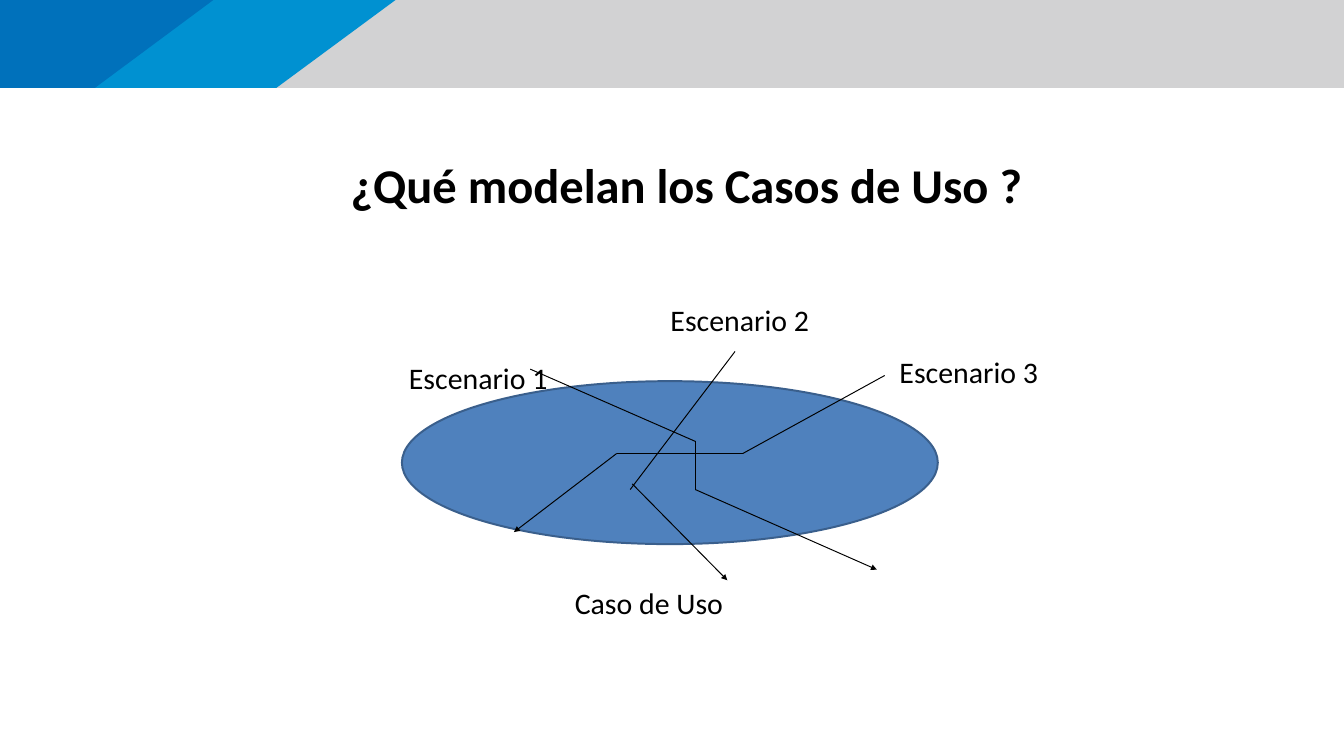
from dataclasses import dataclass
from itertools import pairwise

from lxml.etree import SubElement as Sub
from pptx import Presentation
from pptx.dml.color import RGBColor as RGB
from pptx.enum.shapes import MSO_CONNECTOR as Link, MSO_SHAPE as Form
from pptx.enum.text import MSO_ANCHOR as Anchor, MSO_AUTO_SIZE as Fit, PP_ALIGN as Align
from pptx.oxml.ns import qn
from pptx.util import Emu, Pt

PX = 9144
WIDE, HIGH = 1896, 1067


@dataclass(frozen=True)
class Theme:
    """Colours and type sizes of the slide."""
    font: str = "Calibri"
    ink: RGB = RGB(0, 0, 0)
    grey: RGB = RGB(0xD2, 0xD2, 0xD3)
    sky: RGB = RGB(0x00, 0x91, 0xD1)
    blue: RGB = RGB(0x00, 0x71, 0xBB)
    oval: RGB = RGB(0x4F, 0x81, 0xBD)
    edge: RGB = RGB(0x3A, 0x5F, 0x8C)
    title: float = 49.3
    label: float = 30.3


LOOK = Theme()


def px(*nums):
    """Turn px lengths into EMU."""
    return [Emu(n * PX) for n in nums]


def write(frame, text, size, bold=False):
    """Add one styled run to the first paragraph of a frame."""
    run = frame.paragraphs[0].add_run()
    run.text = text
    font = run.font
    font.name, font.size, font.bold = LOOK.font, Pt(size), bold
    font.color.rgb = LOOK.ink


def paint(shape, fill):
    """Give a shape a flat fill without line or shadow."""
    shape.shadow.inherit = False
    shape.fill.solid()
    shape.fill.fore_color.rgb = fill
    shape.line.fill.background()


def header(slide, x, y, w, h):
    """Draw the grey band and its two slanted blue panels."""
    paint(slide.shapes.add_shape(Form.RECTANGLE, *px(x, y, w, h)), LOOK.grey)
    for top, foot, fill in ((558, 390, LOOK.sky), (301, 134, LOOK.blue)):
        pen = slide.shapes.build_freeform(x, y, scale=PX)
        pen.add_line_segments([(x + top, y), (x + foot, y + h), (x, y + h)])
        paint(pen.convert_to_shape(), fill)


def heading(slide, x, y, w, h):
    """Place and fill the title placeholder."""
    box = slide.shapes.title
    box.left, box.top, box.width, box.height = px(x, y, w, h)
    frame = box.text_frame
    frame.auto_size, frame.word_wrap = Fit.NONE, True
    frame.vertical_anchor = Anchor.MIDDLE
    frame.margin_left, frame.margin_right = px(19, 19)
    frame.margin_top, frame.margin_bottom = px(9, 9)
    frame.paragraphs[0].alignment = Align.CENTER
    write(frame, "¿Qué modelan los Casos de Uso ?", LOOK.title, True)


def route(group, x, y, stops, arrow):
    """Link the stops in turn, with an optional arrow at the last."""
    for start, end in pairwise(stops):
        ends = px(x + start[0], y + start[1], x + end[0], y + end[1])
        link = group.shapes.add_connector(Link.STRAIGHT, *ends)
        link.line.color.rgb, link.line.width = LOOK.ink, Pt(1)
        if arrow and end == stops[-1]:
            Sub(link.line._get_or_add_ln(), qn("a:tailEnd"), type="triangle")
        Sub(link._element.spPr, qn("a:effectLst"))


def label(group, x, y, w, h, text):
    """Write one unwrapped label."""
    frame = group.shapes.add_textbox(*px(x, y, w, h)).text_frame
    frame.word_wrap = False
    write(frame, text, LOOK.label)


def diagram(slide, x, y, w, h):
    """Draw the use case oval, its scenario routes and labels."""
    group = slide.shapes.add_group_shape()
    oval = group.shapes.add_shape(Form.OVAL, *px(x, y + 117, 756, 230))
    paint(oval, LOOK.oval)
    oval.line.color.rgb, oval.line.width = LOOK.edge, Pt(2)
    routes = (
        ([(181, 100), (414, 202), (414, 270), (670, 383)], True),
        ([(681, 109), (481, 219), (303, 219), (158, 330)], True),
        ([(470, 75), (322, 270)], False),
        ([(325, 262), (459, 398)], True),
    )
    for stops, arrow in routes:
        route(group, x, y, stops, arrow)
    tall = 61
    label(group, x + 234, y + h - tall, 232, tall, "Caso de Uso")
    spots = ((0, 82), (369, 0), (w - 218, 73))
    for num, (left, top) in enumerate(spots, 1):
        label(group, x + left, y + top, 218, tall, f"Escenario {num}")


def main():
    """Build and save the slide."""
    deck = Presentation()
    deck.slide_width, deck.slide_height = px(WIDE, HIGH)
    slide = deck.slides.add_slide(deck.slide_layouts[5])
    header(slide, 0, 0, WIDE, 124)
    heading(slide, 21, 209, WIDE, 102)
    diagram(slide, 567, 421, 910, 461)
    deck.save("out.pptx")


if __name__ == "__main__":
    main()
